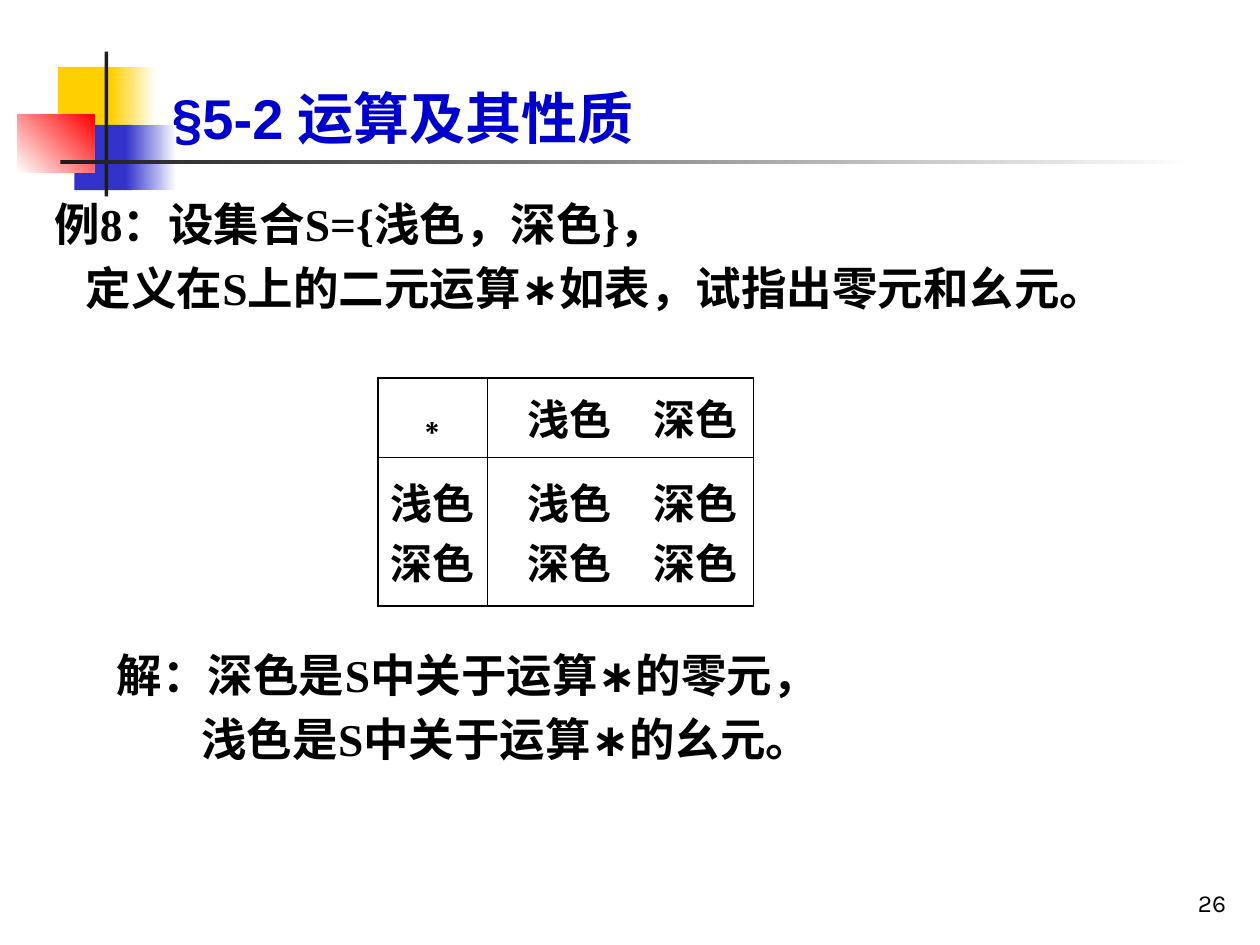
from dataclasses import dataclass

from lxml.etree import SubElement
from pptx import Presentation
from pptx.dml.color import RGBColor
from pptx.enum.shapes import MSO_SHAPE as Preset
from pptx.enum.text import MSO_ANCHOR as Anchor, MSO_AUTO_SIZE as AutoSize, PP_ALIGN as Align
from pptx.oxml import parse_xml
from pptx.oxml.ns import nsdecls, qn
from pptx.slide import Slide
from pptx.util import Pt

PX = 9144  # 100 px to the inch

BLACK = RGBColor(0x00, 0x00, 0x00)
WHITE = RGBColor(0xFF, 0xFF, 0xFF)
TITLE_BLUE = RGBColor(0x00, 0x00, 0xCC)
YELLOW = RGBColor(0xFF, 0xCF, 0x01)
BLUE = RGBColor(0x33, 0x33, 0xCC)
RED = RGBColor(0xFF, 0x00, 0x00)
CHARCOAL = RGBColor(0x1C, 0x1C, 0x1C)


def px(*lengths):
    return [length * PX for length in lengths]


@dataclass
class Lesson:
    slide: Slide
    serif: str = "Times New Roman"
    text_size: int = 26
    table_size: int = 24

    def block(self, box, color, fade_to=None, angle=0):
        """Plain rectangle, or one that fades to a second colour."""
        shape = self.slide.shapes.add_shape(Preset.RECTANGLE, *px(*box))
        shape.shadow.inherit = False
        shape.line.fill.background()
        if fade_to is None:
            shape.fill.solid()
            shape.fill.fore_color.rgb = color
        else:
            shape.fill.gradient()
            shape.fill.gradient_angle = angle
            for stop, stop_color in zip(shape.fill.gradient_stops, (color, fade_to)):
                stop.color.rgb = stop_color

    def paragraph(self, para, text, size, font=None, color=BLACK, bold=True,
                  align=Align.LEFT, line=None, before=0, indent=0, tab=None):
        para.text = text
        para.alignment = align
        para.space_before = Pt(before)
        if line:
            para.line_spacing = Pt(line)
        props = para._p.get_or_add_pPr()
        props.set("marL", str(indent * PX))
        props.set("indent", "0")
        SubElement(props, qn("a:buNone"))
        if tab:
            stops = SubElement(props, qn("a:tabLst"))
            SubElement(stops, qn("a:tab"), pos=str(tab * PX), algn="l")
        para.font.name = font or self.serif
        para.font.size = Pt(size)
        para.font.bold = bold
        para.font.color.rgb = color

    def frame(self, shape, box, anchor=Anchor.TOP):
        shape.left, shape.top, shape.width, shape.height = px(*box)
        text_frame = shape.text_frame
        text_frame.word_wrap = True
        text_frame.auto_size = AutoSize.NONE
        text_frame.vertical_anchor = anchor
        return text_frame

    def text_box(self, box, anchor=Anchor.TOP):
        return self.frame(self.slide.shapes.add_textbox(*px(*box)), box, anchor)

    def title(self, text, box, tab):
        title = self.frame(self.slide.shapes.title, box, Anchor.BOTTOM)
        self.paragraph(title.paragraphs[0], text, 32, "Arial", TITLE_BLUE, tab=tab)

    def lines(self, text_frame, rows):
        """Paragraphs of running text, each with its own indent."""
        for number, (text, indent) in enumerate(rows):
            para = text_frame.add_paragraph() if number else text_frame.paragraphs[0]
            self.paragraph(para, text, self.text_size, line=31.4,
                           before=5.2 if number else 0, indent=indent)

    def border(self, cell):
        props = cell._tc.get_or_add_tcPr()
        for place, side in enumerate(("lnL", "lnR", "lnT", "lnB")):
            props.insert(place, parse_xml(
                f'<a:{side} {nsdecls("a")} w="12700"><a:solidFill>'
                f'<a:srgbClr val="{BLACK}"/></a:solidFill></a:{side}>'))

    def table(self, left, top, widths, heights, cells):
        grid = self.slide.shapes.add_table(
            len(heights), len(widths),
            *px(left, top, sum(widths), sum(heights))).table
        grid.first_row = grid.horz_banding = False
        for column, width in zip(grid.columns, widths):
            column.width = width * PX
        for row, height, texts in zip(grid.rows, heights, cells):
            row.height = height * PX
            for cell, entries in zip(row.cells, texts):
                paired = "\t" in entries[0]
                cell.fill.background()
                self.border(cell)
                cell.vertical_anchor = Anchor.MIDDLE
                cell.margin_left, cell.margin_right = px(32 if paired else 5, 5)
                for number, entry in enumerate(entries):
                    text_frame = cell.text_frame
                    para = text_frame.add_paragraph() if number else text_frame.paragraphs[0]
                    self.paragraph(para, entry, self.table_size, line=34,
                                   align=Align.LEFT if paired else Align.CENTER,
                                   tab=82 if paired else None)


def main():
    deck = Presentation()
    deck.slide_width, deck.slide_height = px(1000, 750)
    lesson = Lesson(deck.slides.add_slide(deck.slide_layouts[1]))

    # Corner ornament and title rule
    lesson.block((46, 53, 48, 52), YELLOW)
    lesson.block((88, 53, 36, 52), YELLOW, WHITE)
    lesson.block((59, 99, 46, 52), BLUE)
    lesson.block((100, 99, 40, 52), BLUE, WHITE)
    lesson.block((14, 91, 61, 46), WHITE, RED, angle=45)
    lesson.block((83, 41, 3, 115), CHARCOAL)
    lesson.block((48, 127, 900, 3), CHARCOAL, WHITE)

    # Page number
    page = lesson.text_box((775, 683, 208, 50), Anchor.BOTTOM)
    lesson.paragraph(page.paragraphs[0], "26", 14, "Karla", bold=False, align=Align.RIGHT)

    # Title and problem
    lesson.title("§5-2\t运算及其性质", (126, 0, 852, 125), tab=136)
    problem = lesson.frame(lesson.slide.placeholders[1], (33, 150, 938, 214))
    lesson.lines(problem, [
        ("例8：设集合S={浅色，深色}，", 0),
        ("定义在S上的二元运算∗如表，试指出零元和幺元。", 25),
    ])

    # Operation table
    lesson.table(300, 300, (87, 211), (63, 118), [
        [["∗"], ["浅色\t深色"]],
        [["浅色", "深色"], ["浅色\t深色", "深色\t深色"]],
    ])

    # Solution
    solution = lesson.text_box((83, 508, 767, 106))
    lesson.lines(solution, [
        ("解：深色是S中关于运算∗的零元，", 0),
        ("浅色是S中关于运算∗的幺元。", 67),
    ])

    deck.save("out.pptx")


if __name__ == "__main__":
    main()
